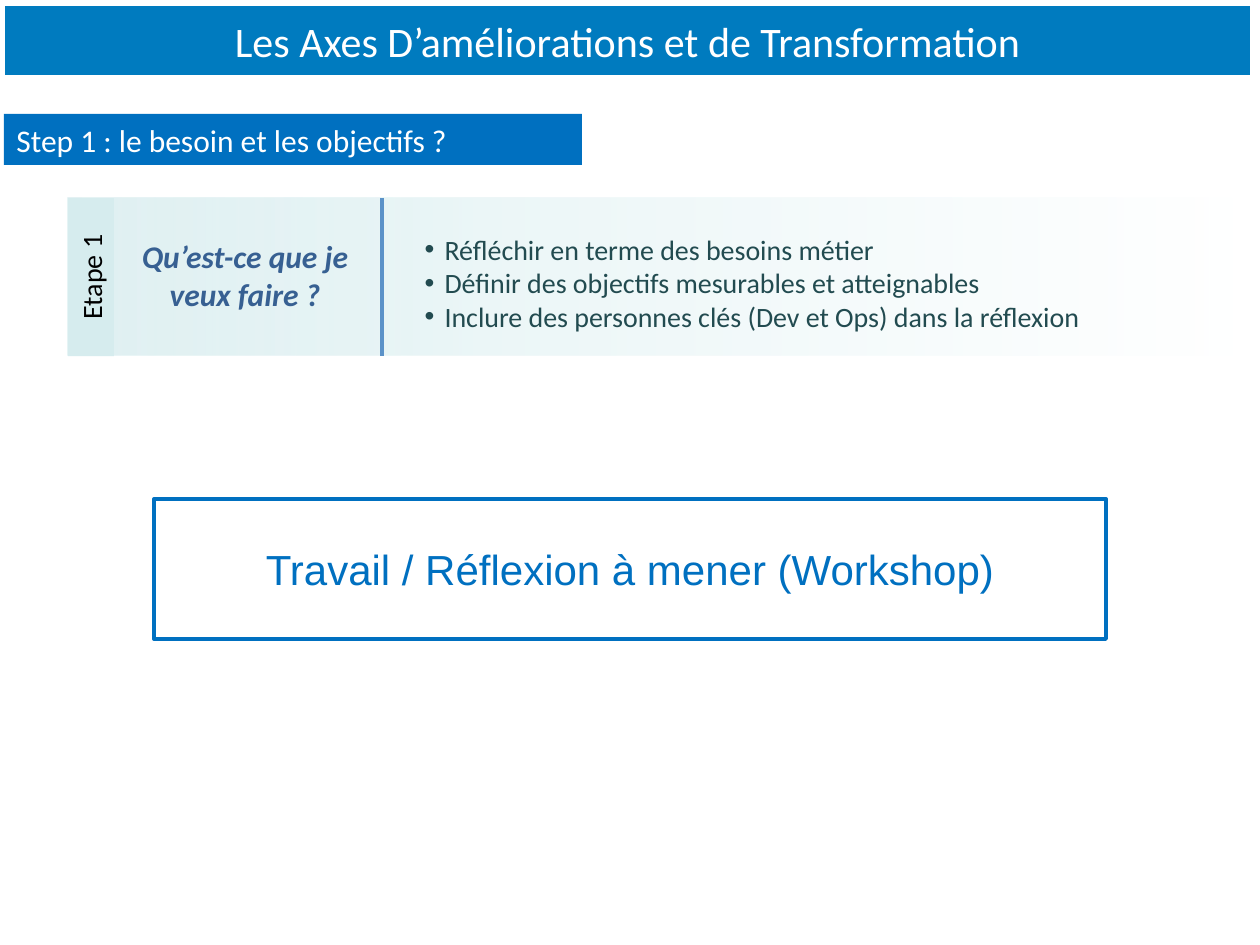
import copy

import pptx
import pptx.dml.color
import pptx.enum.dml
import pptx.enum.shapes
import pptx.enum.text
import pptx.oxml.ns
import pptx.util
from lxml import etree

EMU_PER_PX = 914400 / 126
COLORS = {
    "title": "007BBF",
    "accent": "0070C0",
    "mint": "D6ECEE",
    "pale": "EBF6F7",
    "white": "FFFFFF",
    "black": "000000",
    "question": "376092",
    "list": "224B50",
    "divider": "5B92C8",
}
ALIGN = pptx.enum.text.PP_ALIGN
ANCHOR = pptx.enum.text.MSO_ANCHOR


def px(length):
    """Turn pixels into EMU."""
    return pptx.util.Emu(round(length * EMU_PER_PX))


def rgb(name):
    """Look up a colour by name."""
    return pptx.dml.color.RGBColor.from_string(COLORS[name])


def place(shape, box):
    """Move a shape to a box of left, top, width, height."""
    shape.left, shape.top, shape.width, shape.height = map(px, box)


def write(shape, lines, size, color, align=ALIGN.CENTER, anchor=ANCHOR.MIDDLE, font="Calibri"):
    """Fill a shape with one formatted paragraph per line."""
    frame = shape.text_frame
    frame.text = "\n".join(lines)
    frame.word_wrap = True
    frame.auto_size = pptx.enum.text.MSO_AUTO_SIZE.NONE
    frame.vertical_anchor = anchor
    for paragraph in frame.paragraphs:
        paragraph.alignment = align
        paragraph.space_before = pptx.util.Pt(0)
        paragraph.font.name = font
        paragraph.font.size = pptx.util.Pt(size)
        paragraph.font.color.rgb = rgb(color)


def add_rectangle(slide, box, fill=None):
    """Add a rectangle with no outline and an optional solid fill."""
    shape = slide.shapes.add_shape(pptx.enum.shapes.MSO_SHAPE.RECTANGLE, *map(px, box))
    shape.shadow.inherit = False
    shape.line.fill.background()
    if fill:
        shape.fill.solid()
        shape.fill.fore_color.rgb = rgb(fill)
    else:
        shape.fill.background()
    return shape


def fade(shape):
    """Give a shape a three-stop gradient from mint to white."""
    qualified = pptx.oxml.ns.qn
    shape.fill.gradient()
    shape.fill.gradient_angle = 0
    stop_list = shape.element.spPr.find(".//" + qualified("a:gsLst"))
    stop_list.insert(0, copy.deepcopy(stop_list[0]))
    stops = [(0, "mint"), (0.35, "pale"), (1, "white")]
    for stop, (position, color) in zip(shape.fill.gradient_stops, stops):
        stop.position = position
        stop.color.rgb = rgb(color)
    first_color = stop_list[0].find(qualified("a:srgbClr"))
    etree.SubElement(first_color, qualified("a:alpha"), val="75000")


def add_divider(slide, x, top, height):
    """Draw a vertical line."""
    line = slide.shapes.add_connector(
        pptx.enum.shapes.MSO_CONNECTOR.STRAIGHT, px(x), px(top), px(x), px(top + height))
    line.line.color.rgb = rgb("divider")
    line.line.width = pptx.util.Pt(2.5)
    etree.SubElement(line.element.spPr, pptx.oxml.ns.qn("a:effectLst"))


def fill_list(shape, lines):
    """Write a bulleted list into the body placeholder."""
    write(shape, lines, 16, "list", ALIGN.LEFT, ANCHOR.TOP)
    for paragraph in shape.text_frame.paragraphs:
        properties = paragraph._p.get_or_add_pPr()
        properties.set("marL", str(px(20)))
        properties.set("indent", str(px(-20)))


def add_title(slide, box):
    """Turn the title placeholder into the top banner."""
    title = slide.shapes.title
    place(title, box)
    title.fill.solid()
    title.fill.fore_color.rgb = rgb("title")
    write(title, ["Les Axes D’améliorations et de Transformation"], 24, "white")


def add_step_heading(slide, box):
    """Add the heading of the step."""
    heading = add_rectangle(slide, box, "accent")
    write(heading, ["Step 1 : le besoin et les objectifs ?"], 18, "white", ALIGN.LEFT)


def add_stage_band(slide, box):
    """Add the stage band: label, question, divider and list."""
    left, top, width, height = box
    fade(add_rectangle(slide, box))

    question = slide.shapes.add_textbox(*map(px, (left + 55, top + 33, 244, 90)))
    write(question, ["Qu’est-ce que je veux faire ?"], 18, "question", anchor=ANCHOR.TOP)
    question.text_frame.paragraphs[0].font.bold = True
    question.text_frame.paragraphs[0].font.italic = True

    thickness = 46
    shift = (height - thickness) // 2
    label = add_rectangle(slide, (left - shift, top + shift, height, thickness), "mint")
    label.rotation = 270
    write(label, ["Etape 1"], 16, "black")

    body = slide.placeholders[1]
    place(body, (left + 344, top + 28, 714, 115))
    fill_list(body, [
        "Réfléchir en terme des besoins métier",
        "Définir des objectifs mesurables et atteignables",
        "Inclure des personnes clés (Dev et Ops) dans la réflexion",
    ])
    body.element.getparent().append(body.element)
    add_divider(slide, left + 314, top, height)


def add_workshop(slide, box):
    """Add the outlined workshop box."""
    workshop = add_rectangle(slide, box)
    workshop.line.color.rgb = rgb("accent")
    workshop.line.width = pptx.util.Pt(2.25)
    write(workshop, ["Travail / Réflexion à mener (Workshop)"], 24, "accent", font="Arial")


def main():
    """Build and save the slide."""
    presentation = pptx.Presentation()
    presentation.slide_width = px(1260)
    presentation.slide_height = px(945)
    slide = presentation.slides.add_slide(presentation.slide_layouts[1])
    add_title(slide, (5, 6, 1245, 69))
    add_stage_band(slide, (68, 198, 1182, 158))
    add_step_heading(slide, (4, 114, 578, 51))
    add_workshop(slide, (154, 499, 952, 140))
    presentation.save("out.pptx")


if __name__ == "__main__":
    main()
